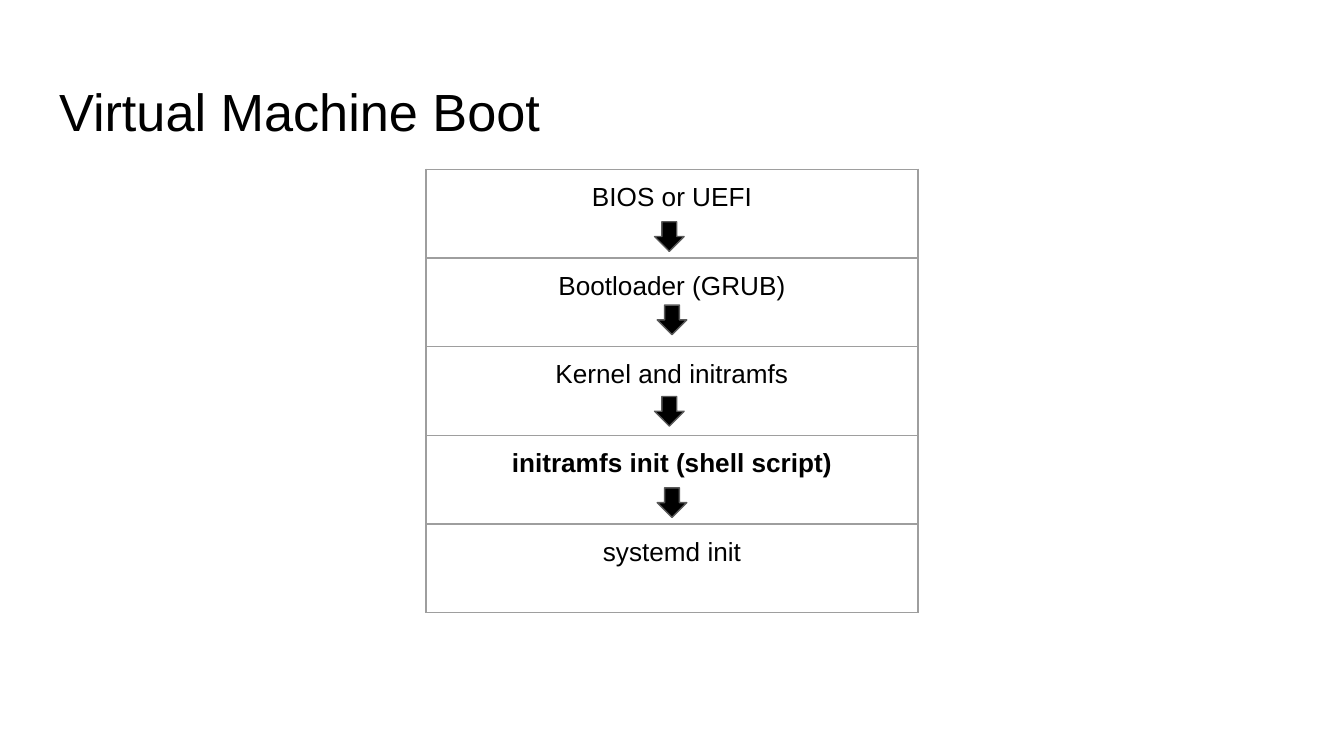
from lxml import etree
from pptx import Presentation
from pptx.dml.color import RGBColor
from pptx.enum.shapes import MSO_SHAPE
from pptx.enum.text import MSO_ANCHOR, PP_ALIGN
from pptx.oxml.ns import qn
from pptx.util import Inches, Pt

BLACK = RGBColor(0x00, 0x00, 0x00)
ARROW_LINE = RGBColor(0x59, 0x59, 0x59)
BORDER = RGBColor(0x9E, 0x9E, 0x9E)
FONT = "Arial"
DOWN_ARROW = MSO_SHAPE.DOWN_ARROW
TOP = MSO_ANCHOR.TOP
LEFT, CENTER = PP_ALIGN.LEFT, PP_ALIGN.CENTER
INSET = Inches(0.1)

SLIDE_WIDTH = 10
SLIDE_HEIGHT = SLIDE_WIDTH * 9 / 16
ROW_HEIGHT = 0.66
ARROW_SIZE = 0.22

# Boot stages: text, bold
STAGES = [
    ("BIOS or UEFI", False),
    ("Bootloader (GRUB)", False),
    ("Kernel and initramfs", False),
    ("initramfs init (shell script)", True),
    ("systemd init", False),
]
# Left and top of the arrow below each stage but the last
ARROWS = [(4.87, 1.65), (4.89, 2.27), (4.87, 2.95), (4.89, 3.63)]


def write_text(tf, text, size, align, bold=False):
    p = tf.paragraphs[0]
    p.alignment = align
    r = p.add_run()
    r.text = text
    r.font.name = FONT
    r.font.size = Pt(size)
    r.font.bold = bold
    r.font.color.rgb = BLACK


def set_insets(box):
    box.margin_left = box.margin_right = INSET
    box.margin_top = box.margin_bottom = INSET
    box.vertical_anchor = TOP


def add_title(s, text):
    title = s.shapes.title
    title.left, title.top = Inches(0.34), Inches(0.49)
    title.width, title.height = Inches(9.32), Inches(0.63)
    tf = title.text_frame
    set_insets(tf)
    tf.word_wrap = True
    write_text(tf, text, 28, LEFT)


def set_borders(cell):
    # Border lines come before the fill in the cell properties
    tc_pr = cell._tc.get_or_add_tcPr()
    for i, side in enumerate(("a:lnL", "a:lnR", "a:lnT", "a:lnB")):
        ln = etree.Element(qn(side), w=str(Pt(0.75)))
        fill = etree.SubElement(ln, qn("a:solidFill"))
        etree.SubElement(fill, qn("a:srgbClr"), val=str(BORDER))
        tc_pr.insert(i, ln)


def add_stage_table(s):
    frame = s.shapes.add_table(
        len(STAGES), 1, Inches(3.17), Inches(1.26),
        Inches(3.66), Inches(ROW_HEIGHT * len(STAGES)))
    table = frame.table
    table.first_row = table.horz_banding = False
    for i, (text, bold) in enumerate(STAGES):
        table.rows[i].height = Inches(ROW_HEIGHT)
        cell = table.cell(i, 0)
        cell.fill.background()
        set_insets(cell)
        set_borders(cell)
        write_text(cell.text_frame, text, 14, CENTER, bold)


def add_arrow(s, left, top):
    arrow = s.shapes.add_shape(
        DOWN_ARROW, Inches(left), Inches(top),
        Inches(ARROW_SIZE), Inches(ARROW_SIZE))
    arrow.shadow.inherit = False
    arrow.fill.solid()
    arrow.fill.fore_color.rgb = BLACK
    arrow.line.color.rgb = ARROW_LINE
    arrow.line.width = Pt(0.75)


def main():
    prs = Presentation()
    prs.slide_width = Inches(SLIDE_WIDTH)
    prs.slide_height = Inches(SLIDE_HEIGHT)
    s = prs.slides.add_slide(prs.slide_layouts[5])

    add_title(s, "Virtual Machine Boot")

    # Boot sequence
    add_stage_table(s)
    for left, top in ARROWS:
        add_arrow(s, left, top)

    prs.save("out.pptx")


if __name__ == "__main__":
    main()
